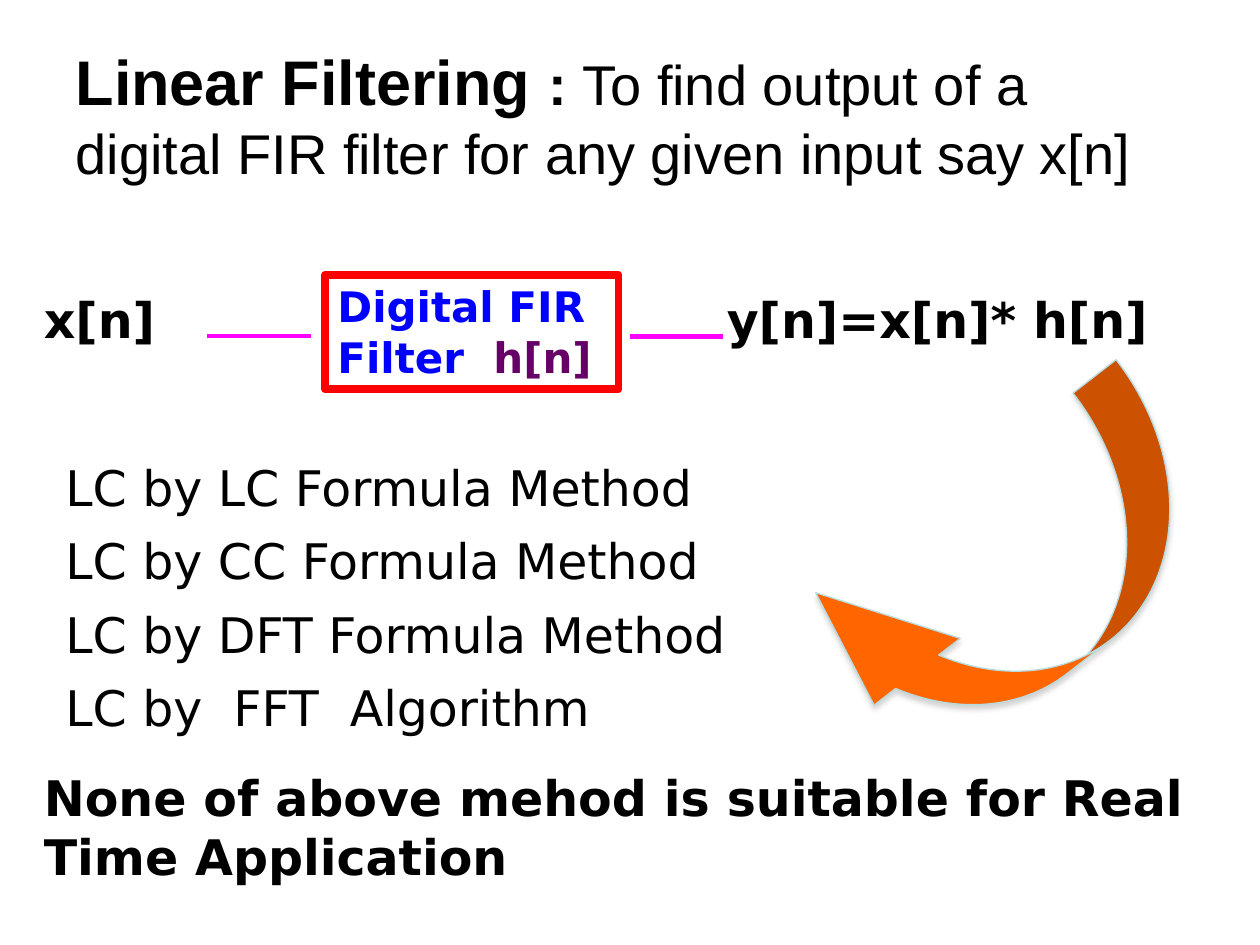
"""Build the linear filtering slide with python-pptx."""
from dataclasses import dataclass
from typing import NamedTuple

import pptx
import pptx.dml.color
import pptx.enum.shapes
import pptx.enum.text
import pptx.oxml
import pptx.oxml.ns
import pptx.util
from pptx.util import Inches

RGB = pptx.dml.color.RGBColor.from_string
MSO_SHAPE = pptx.enum.shapes.MSO_SHAPE


@dataclass(frozen=True)
class Theme:
    title_font: str = "Arial"
    body_font: str = "DejaVu Sans"
    heading_size: int = 36
    title_size: int = 32
    body_size: int = 28
    box_size: int = 24
    text: str = "000000"
    box_text: str = "0000FF"
    response: str = "660066"
    box_line: str = "FF0000"
    signal: str = "FF00FF"
    arrow: str = "FF6600"
    arrow_line: str = "B6DCDF"
    shadow: str = "808080"


class Label(NamedTuple):
    text: str
    left: float
    top: float
    width: float
    height: float = 0.57
    bold: bool = True


class Signal(NamedTuple):
    start: float
    end: float
    weight: float


THEME = Theme()
SIGNAL_TOP = 2.67
METHOD_TOP, METHOD_STEP = 3.58, 0.583
METHODS = (
    "LC by LC Formula Method",
    "LC by CC Formula Method",
    "LC by DFT Formula Method",
    "LC by  FFT  Algorithm",
)
LABELS = (
    Label("x[n]", 0.25, 2.25, 1.2),
    Label("y[n]=x[n]* h[n]", 5.67, 2.25, 4.25),
    *(
        Label(text, 0.42, METHOD_TOP + i * METHOD_STEP, 6.08, bold=False)
        for i, text in enumerate(METHODS)
    ),
    Label("None of above mehod is suitable for Real Time Application",
          0.25, 6.04, 9.92, 1.04),
)
SIGNALS = (Signal(1.64, 2.47, 2.25), Signal(5, 5.74, 3))


def style(font, name: str, size: int, color: str, bold: bool) -> None:
    font.name, font.size, font.bold = name, pptx.util.Pt(size), bold
    font.color.rgb = RGB(color)


def add_title(s) -> None:
    sp = s.shapes.title
    sp.left, sp.top, sp.width, sp.height = map(Inches, (0.5, 0.25, 9.25, 1.78))
    tf = sp.text_frame
    tf.auto_size = pptx.enum.text.MSO_AUTO_SIZE.NONE
    tf.vertical_anchor = pptx.enum.text.MSO_ANCHOR.TOP
    tf.margin_top = Inches(0.09)
    lines = (
        (("Linear Filtering ", THEME.heading_size, True),
         (": ", THEME.title_size, True),
         ("To find output of a", THEME.title_size, False)),
        (("digital FIR filter for any given input say x[n]",
          THEME.title_size, False),),
    )
    for i, runs in enumerate(lines):
        p = tf.add_paragraph() if i else tf.paragraphs[0]
        p.alignment = pptx.enum.text.PP_ALIGN.LEFT
        for text, size, bold in runs:
            r = p.add_run()
            r.text = text
            style(r.font, THEME.title_font, size, THEME.text, bold)


def add_label(s, label: Label) -> None:
    box = (label.left, label.top, label.width, label.height)
    tf = s.shapes.add_textbox(*map(Inches, box)).text_frame
    tf.word_wrap = True
    p = tf.paragraphs[0]
    p.text = label.text
    style(p.font, THEME.body_font, THEME.body_size, THEME.text, label.bold)


def add_filter(s) -> None:
    box = map(Inches, (2.58, 2.18, 2.33, 0.91))
    sp = s.shapes.add_shape(MSO_SHAPE.RECTANGLE, *box)
    sp.shadow.inherit = False
    sp.fill.background()
    sp.line.color.rgb = RGB(THEME.box_line)
    sp.line.width = pptx.util.Pt(4.5)
    tf = sp.text_frame
    tf.word_wrap = True
    tf.vertical_anchor = pptx.enum.text.MSO_ANCHOR.TOP
    p = tf.paragraphs[0]
    p.alignment = pptx.enum.text.PP_ALIGN.LEFT
    for text, color in (("Digital FIR Filter  ", THEME.box_text),
                        ("h[n]", THEME.response)):
        r = p.add_run()
        r.text = text
        style(r.font, THEME.body_font, THEME.box_size, color, True)


def add_signal(s, signal: Signal) -> None:
    ends = map(Inches, (signal.start, SIGNAL_TOP, signal.end, SIGNAL_TOP))
    line = s.shapes.add_connector(
        pptx.enum.shapes.MSO_CONNECTOR.STRAIGHT, *ends)
    line.line.color.rgb = RGB(THEME.signal)
    line.line.width = pptx.util.Pt(signal.weight)
    sp_pr = line._element.spPr
    sp_pr.append(pptx.oxml.parse_xml(
        f'<a:effectLst {pptx.oxml.ns.nsdecls("a")}/>'))


def add_arrow(s) -> None:
    box = map(Inches, (7.16, 2.87, 1.73, 3.45))
    sp = s.shapes.add_shape(MSO_SHAPE.CURVED_RIGHT_ARROW, *box)
    for i, value in enumerate((0.25, 0.5, 0.572)):
        sp.adjustments[i] = value
    sp.rotation = 52.2
    sp.fill.solid()
    sp.fill.fore_color.rgb = RGB(THEME.arrow)
    sp.line.color.rgb = RGB(THEME.arrow_line)
    sp.line.width = pptx.util.Pt(0.75)
    sp.shadow.inherit = False
    sp_pr = sp._element.spPr
    sp_pr.find(pptx.oxml.ns.qn("a:xfrm")).set("flipH", "1")
    blur, distance = pptx.util.Pt(3.1), pptx.util.Pt(1.8)
    sp_pr.find(pptx.oxml.ns.qn("a:effectLst")).append(pptx.oxml.parse_xml(
        f'<a:outerShdw {pptx.oxml.ns.nsdecls("a")} blurRad="{blur}" '
        f'dist="{distance}" dir="5400000" rotWithShape="0">'
        f'<a:srgbClr val="{THEME.shadow}"><a:alpha val="35000"/></a:srgbClr>'
        '</a:outerShdw>'))


def main() -> None:
    prs = pptx.Presentation()
    prs.slide_width, prs.slide_height = Inches(10), Inches(7.5)
    s = prs.slides.add_slide(prs.slide_layouts[5])
    add_title(s)
    add_filter(s)
    for signal in SIGNALS:
        add_signal(s, signal)
    add_arrow(s)
    for label in LABELS:
        add_label(s, label)
    prs.save("out.pptx")


if __name__ == "__main__":
    main()
